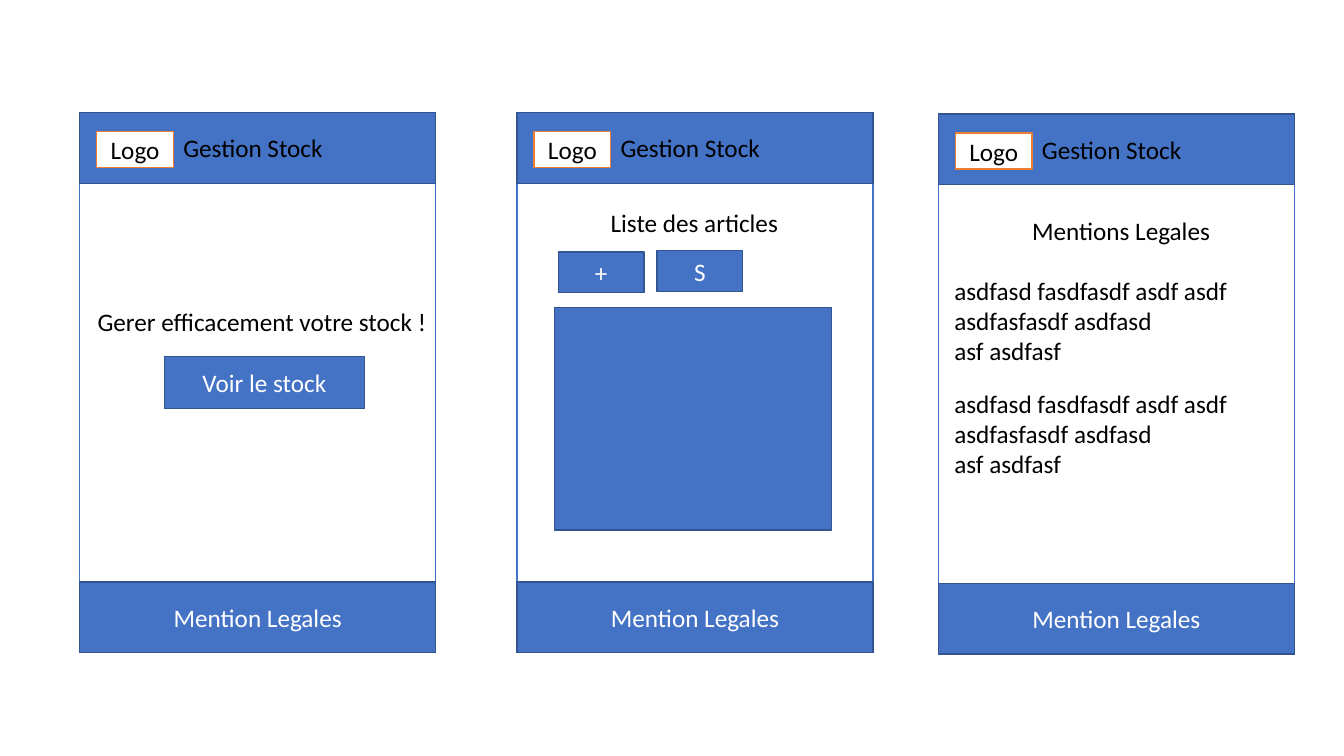
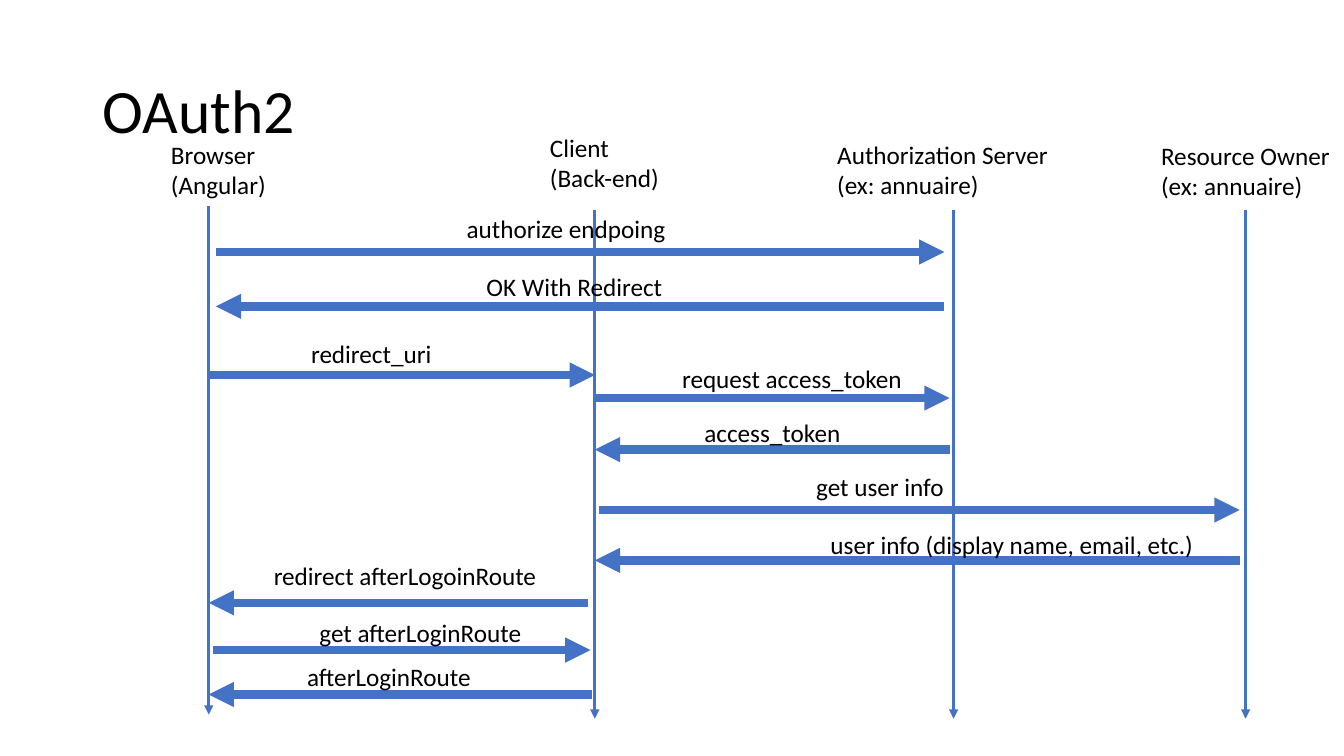
"""Stock app wireframes and an OAuth2 sequence diagram."""
from lxml.etree import SubElement
from pptx import Presentation
from pptx.dml.color import RGBColor
from pptx.enum.shapes import MSO_CONNECTOR as Link, MSO_SHAPE as Shape
from pptx.enum.text import MSO_ANCHOR as Anchor, MSO_AUTO_SIZE as Size, PP_ALIGN as Align
from pptx.oxml.ns import qn
from pptx.util import Cm, Pt

BLUE = RGBColor(0x44, 0x72, 0xC4)
NAVY = RGBColor(0x32, 0x54, 0x91)
ORANGE = RGBColor(0xED, 0x7D, 0x31)
WHITE = RGBColor(0xFF, 0xFF, 0xFF)
BLACK = RGBColor(0, 0, 0)
FONT = "Calibri"

WIDE, TALL, BAR = 8.97, 13.61, 1.78
LINE = 1.02
FILLER = ["asdfasd fasdfasdf asdf asdf", "asdfasfasdf asdfasd", "asf asdfasf"]

PHONES = [
    {"at": (2.01, 2.84),
     "texts": [(["Gerer efficacement votre stock !"], 2.21, 7.59, 8.92)],
     "boxes": [("Voir le stock", 4.14, 8.99, 5.05, 1.3)]},
    {"at": (13.03, 2.84),
     "texts": [(["Liste des articles"], 15.14, 5.11, 4.78)],
     "boxes": [("", 13.97, 7.75, 6.99, 5.61),
               ("+", 14.07, 6.35, 2.16, 1.02),
               ("S", 16.56, 6.32, 2.16, 1.02)]},
    {"at": (23.65, 2.87),
     "texts": [(["Mentions Legales"], 25.76, 5.31, 5.05),
               (FILLER, 23.8, 6.81, 7.47),
               (FILLER, 23.8, 9.65, 7.47)],
     "boxes": []},
]

ACTORS = [
    (["Browser", "(Angular)"], 4.06, 3.38, 2.92, 5.26, 5.18),
    (["Client", "(Back-end)"], 13.61, 3.2, 3.3, 14.99, 5.28),
    (["Authorization Server", "(ex: annuaire)"], 20.85, 3.38, 5.87, 24.03, 5.28),
    (["Resource Owner", "(ex: annuaire)"], 29.01, 3.4, 4.8, 31.39, 5.28),
]
LIFE = 12.83

CALLS = [
    ("authorize endpoing", 11.51, 5.26, 5.59, 5.44, 23.8, 6.35),
    ("OK With Redirect", 12.01, 6.71, 5, 23.8, 5.44, 7.72),
    ("redirect_uri", 7.59, 8.41, 3.58, 5.26, 14.99, 9.45),
    ("request access_token", 16.94, 9.02, 6.12, 14.99, 23.93, 10.03),
    ("access_token", 17.5, 10.39, 3.99, 23.93, 14.99, 11.33),
    ("get user info", 20.32, 11.76, 3.76, 15.09, 31.24, 12.85),
    ("user info (display name, email, etc.)", 20.68, 13.21, 9.75, 31.24, 14.99, 14.12),
    ("redirect afterLogoinRoute", 6.65, 14, 7.21, 14.83, 5.26, 15.19),
    ("get afterLoginRoute", 7.8, 15.42, 5.66, 5.36, 14.88, 16.38),
    ("afterLoginRoute", 7.49, 16.54, 4.7, 14.91, 5.26, 17.5),
]


def add_run(para, text, color, size=18):
    run = para.add_run()
    run.text = text
    run.font.name = FONT
    run.font.size = Pt(size)
    run.font.color.rgb = color


def add_box(slide, text, x, y, w, h, fill=BLUE, line=NAVY, color=WHITE):
    box = slide.shapes.add_shape(Shape.RECTANGLE, Cm(x), Cm(y), Cm(w), Cm(h))
    box.shadow.inherit = False
    box.fill.solid()
    box.fill.fore_color.rgb = fill
    box.line.color.rgb = line
    box.line.width = Pt(1)
    if text:
        box.text_frame.vertical_anchor = Anchor.MIDDLE
        para = box.text_frame.paragraphs[0]
        para.alignment = Align.CENTER
        add_run(para, text, color)


def add_text(slide, lines, x, y, w):
    high = LINE + 0.77 * (len(lines) - 1)
    frame = slide.shapes.add_textbox(Cm(x), Cm(y), Cm(w), Cm(high)).text_frame
    frame.word_wrap = False
    frame.auto_size = Size.SHAPE_TO_FIT_TEXT
    for i, line in enumerate(lines):
        para = frame.add_paragraph() if i else frame.paragraphs[0]
        add_run(para, line, BLACK)


def add_title(slide, text):
    frame = slide.shapes.add_textbox(Cm(2.34), Cm(1.02), Cm(29.21), Cm(3.68)).text_frame
    frame.word_wrap = True
    frame.vertical_anchor = Anchor.MIDDLE
    para = frame.paragraphs[0]
    para.line_spacing = 0.9
    add_run(para, text, BLACK, 44)


def add_arrow(slide, x1, y1, x2, y2, width):
    arrow = slide.shapes.add_connector(Link.STRAIGHT, Cm(x1), Cm(y1), Cm(x2), Cm(y2))
    arrow.line.color.rgb = BLUE
    arrow.line.width = Pt(width)
    props = arrow.element.spPr
    SubElement(props.find(qn("a:ln")), qn("a:tailEnd"), type="triangle")
    SubElement(props, qn("a:effectLst"))


def add_phone(slide, phone):
    x, y = phone["at"]
    add_box(slide, "", x, y, WIDE, TALL, WHITE, BLUE)
    add_box(slide, "", x, y, WIDE, BAR)
    add_box(slide, "Mention Legales", x, y + TALL - BAR, WIDE, BAR)
    add_box(slide, "Logo", x + 0.43, y + 0.48, 1.93, 0.91, WHITE, ORANGE, BLACK)
    add_text(slide, ["Gestion Stock"], x + 2.36, y + 0.38, 4.06)
    for text in phone["texts"]:
        add_text(slide, *text)
    for box in phone["boxes"]:
        add_box(slide, *box)


def main():
    deck = Presentation()
    deck.slide_width, deck.slide_height = Cm(33.87), Cm(19.05)
    blank = deck.slide_layouts[6]

    screens = deck.slides.add_slide(blank)
    for phone in PHONES:
        add_phone(screens, phone)

    flow = deck.slides.add_slide(blank)
    add_title(flow, "OAuth2")
    for lines, x, y, w, mid, top in ACTORS:
        add_arrow(flow, mid, top, mid, top + LIFE, 2.25)
        add_text(flow, lines, x, y, w)
    for label, x, y, w, start, end, level in CALLS:
        add_arrow(flow, start, level, end, level, 6)
        add_text(flow, [label], x, y, w)

    deck.save("out.pptx")


if __name__ == "__main__":
    main()
